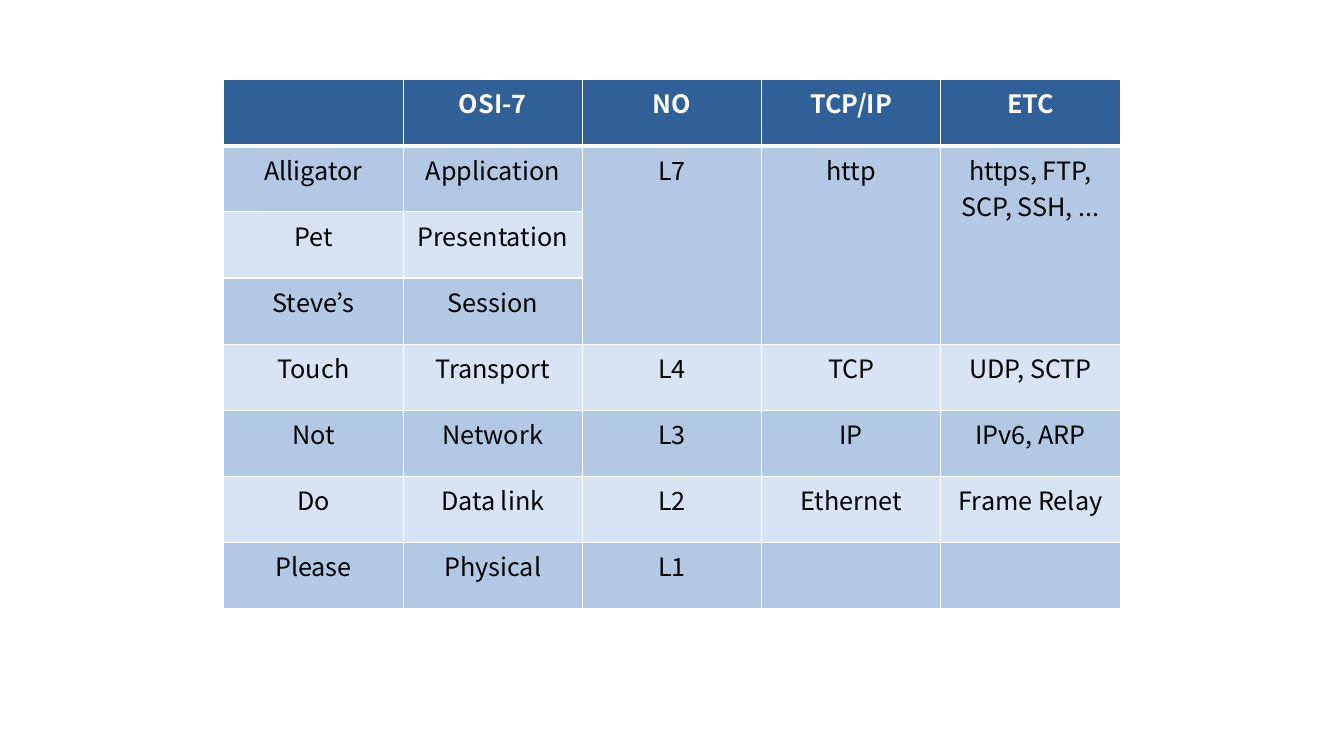
from dataclasses import dataclass

from lxml.etree import SubElement
from pptx import Presentation
from pptx.dml.color import RGBColor
from pptx.enum.text import PP_ALIGN as Align
from pptx.oxml.ns import qn
from pptx.table import _Cell as Cell
from pptx.util import Inches, Pt

WHITE = RGBColor(0xFF, 0xFF, 0xFF)
BLACK = RGBColor(0x00, 0x00, 0x00)
HEADER_BLUE = RGBColor(0x31, 0x5F, 0x97)
BAND_DARK = RGBColor(0xB2, 0xC9, 0xE6)
BAND_LIGHT = RGBColor(0xD8, 0xE4, 0xF3)
FONT = "Noto Sans CJK KR"


@dataclass(frozen=True)
class RowStyle:
    fill: RGBColor
    color: RGBColor = BLACK
    bold: bool = False
    top: float = 1
    bottom: float = 1


ROWS = [
    ("", "OSI-7", "NO", "TCP/IP", "ETC"),
    ("Alligator", "Application", "L7", "http", "https, FTP, SCP, SSH, ..."),
    ("Pet", "Presentation", "", "", ""),
    ("Steve’s", "Session", "", "", ""),
    ("Touch", "Transport", "L4", "TCP", "UDP, SCTP"),
    ("Not", "Network", "L3", "IP", "IPv6, ARP"),
    ("Do", "Data link", "L2", "Ethernet", "Frame Relay"),
    ("Please", "Physical", "L1", "", ""),
]
APPLICATION_ROW, SESSION_ROW = 1, 3
MERGED_COLUMNS = range(2, 5)


def row_style(row: int) -> RowStyle:
    if row == 0:
        return RowStyle(HEADER_BLUE, WHITE, bold=True, bottom=3)
    fill = BAND_DARK if row % 2 else BAND_LIGHT
    return RowStyle(fill, top=3 if row == 1 else 1)


def add_border(cell: Cell, side: str, width: float) -> None:
    properties = cell._tc.get_or_add_tcPr()
    line = SubElement(properties, qn(f"a:ln{side}"), w=str(Pt(width)))
    fill = SubElement(line, qn("a:solidFill"))
    SubElement(fill, qn("a:srgbClr"), val=str(WHITE))


def fill_cell(cell: Cell, text: str, style: RowStyle) -> None:
    for side, width in (("L", 1), ("R", 1), ("T", style.top), ("B", style.bottom)):
        add_border(cell, side, width)
    cell.fill.solid()
    cell.fill.fore_color.rgb = style.fill
    if not text:
        return
    paragraph = cell.text_frame.paragraphs[0]
    paragraph.alignment = Align.CENTER
    run = paragraph.add_run()
    run.text = text
    run.font.name = FONT
    run.font.size = Pt(18)
    run.font.bold = style.bold
    run.font.color.rgb = style.color


def main() -> None:
    presentation = Presentation()
    presentation.slide_width = Inches(13.33)
    presentation.slide_height = Inches(7.5)
    slide = presentation.slides.add_slide(presentation.slide_layouts[6])
    table = slide.shapes.add_table(
        len(ROWS), len(ROWS[0]), Inches(2.22), Inches(0.79), Inches(8.89), Inches(5.25)
    ).table
    for row, texts in enumerate(ROWS):
        for column, text in enumerate(texts):
            fill_cell(table.cell(row, column), text, row_style(row))
    for column in MERGED_COLUMNS:
        table.cell(APPLICATION_ROW, column).merge(table.cell(SESSION_ROW, column))
    presentation.save("out.pptx")


if __name__ == "__main__":
    main()
